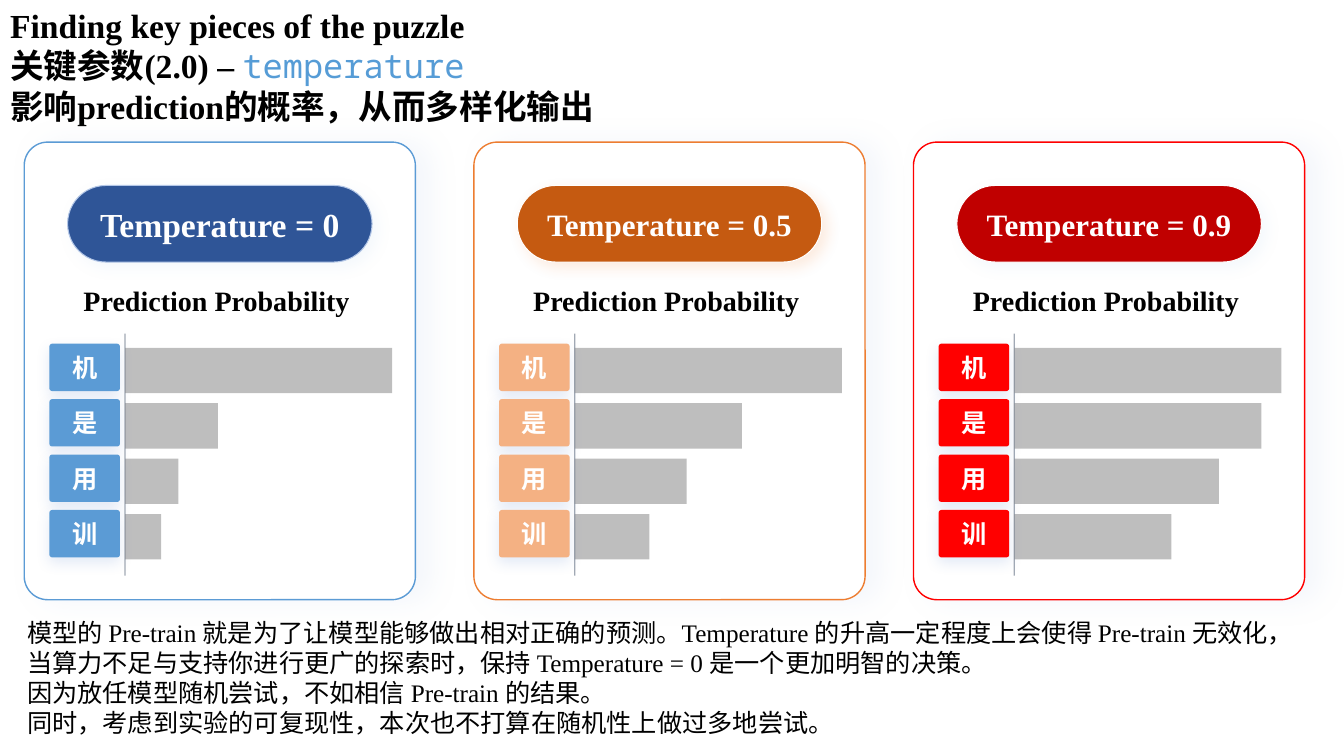
from dataclasses import dataclass

import pptx
import pptx.dml.color
import pptx.enum.shapes
import pptx.enum.text
import pptx.oxml
import pptx.oxml.ns
import pptx.util
from pptx.util import Inches

SHAPE = pptx.enum.shapes.MSO_SHAPE
ALIGN = pptx.enum.text.PP_ALIGN
ANCHOR = pptx.enum.text.MSO_ANCHOR
AUTO_SIZE = pptx.enum.text.MSO_AUTO_SIZE


@dataclass(frozen=True)
class Theme:
    font: str = "Times New Roman"
    code_font: str = "Noto Sans Mono"
    text: str = "000000"
    inverse: str = "FFFFFF"
    code: str = "569CD6"
    bar: str = "808080"
    axis: str = "44546A"
    title_size: float = 24
    heading_size: float = 20
    body_size: float = 18
    # Shadows: colour, opacity %, blur pt, distance pt, direction in degrees
    card_shadow: tuple = ("B4C7E7", 15, 20, 10, 0)
    label_shadow: tuple = ("4472C4", 15, 10, 4, 90)


@dataclass(frozen=True)
class Panel:
    left: float
    heading: str
    heading_size: float
    outline: str
    pill: str
    pill_outline: str
    pill_shadow: str
    label: str
    bars: tuple


THEME = Theme()
TOKENS = ("机", "是", "用", "训")
PANELS = (
    Panel(0.24, "Temperature = 0", 24, "5B9BD5", "2F5597", "B4C7E7", "BDD7EE",
          "5B9BD5", (2.65, 0.92, 0.53, 0.36)),
    Panel(4.7, "Temperature = 0.5", 22.2, "ED7D31", "C55A11", "FFFFFF", "ED7D31",
          "F4B183", (2.65, 1.66, 1.11, 0.74)),
    Panel(9.06, "Temperature = 0.9", 22.2, "FF0000", "C00000", "FFFFFF", "BDD7EE",
          "FF0000", (2.65, 2.45, 2.03, 1.56)),
)
NOTES = (
    "模型的 Pre-train 就是为了让模型能够做出相对正确的预测。Temperature 的升高一定程度上会使得 Pre-train 无效化，",
    "当算力不足与支持你进行更广的探索时，保持 Temperature = 0 是一个更加明智的决策。",
    "因为放任模型随机尝试，不如相信 Pre-train 的结果。",
    "同时，考虑到实验的可复现性，本次也不打算在随机性上做过多地尝试。",
)


def rgb(color):
    return pptx.dml.color.RGBColor.from_string(color)


def place(left, top, width, height):
    return [Inches(value) for value in (left, top, width, height)]


def style(paragraph, size, color=THEME.text, bold=True, align=ALIGN.LEFT):
    paragraph.alignment = align
    font = paragraph.font
    font.name, font.size, font.bold = THEME.font, pptx.util.Pt(size), bold
    font.color.rgb = rgb(color)


def set_opacity(parent, percent):
    """Make every solid colour below the XML element translucent."""
    for color in parent.iter(pptx.oxml.ns.qn("a:srgbClr")):
        alpha = pptx.oxml.parse_xml(
            f'<a:alpha {pptx.oxml.ns.nsdecls("a")} val="{percent * 1000}"/>')
        color.append(alpha)


def set_shadow(shape, color, opacity, blur, distance, direction):
    effects = shape.element.spPr.find(pptx.oxml.ns.qn("a:effectLst"))
    shadow = pptx.oxml.parse_xml(
        f'<a:outerShdw {pptx.oxml.ns.nsdecls("a")} blurRad="{pptx.util.Pt(blur)}" '
        f'dist="{pptx.util.Pt(distance)}" dir="{direction * 60000}" algn="ctr" '
        f'rotWithShape="0"><a:srgbClr val="{color}"/></a:outerShdw>')
    set_opacity(shadow, opacity)
    effects.append(shadow)


def add_block(shapes, kind, box, fill, outline=None, line_width=1, corner=None, shadow=None):
    """Add a filled shape, without an outline unless a colour is given."""
    shape = shapes.add_shape(kind, *place(*box))
    shape.shadow.inherit = False
    shape.fill.solid()
    shape.fill.fore_color.rgb = rgb(fill)
    if outline:
        shape.line.color.rgb = rgb(outline)
        shape.line.width = pptx.util.Pt(line_width)
    else:
        shape.line.fill.background()
    if corner is not None:
        shape.adjustments[0] = corner
    if shadow:
        set_shadow(shape, *shadow)
    return shape


def write_centred(shape, text, size):
    frame = shape.text_frame
    frame.vertical_anchor = ANCHOR.MIDDLE
    frame.text = text
    style(frame.paragraphs[0], size, THEME.inverse, align=ALIGN.CENTER)


def add_text(slide, box, lines, size, bold):
    frame = slide.shapes.add_textbox(*place(*box)).text_frame
    frame.word_wrap = False
    frame.auto_size = AUTO_SIZE.SHAPE_TO_FIT_TEXT
    frame.text = "\n".join(lines)
    for paragraph in frame.paragraphs:
        style(paragraph, size, bold=bold)


def add_title(slide, box):
    title = slide.shapes.title
    title.left, title.top, title.width, title.height = place(*box)
    frame = title.text_frame
    frame.word_wrap = True
    frame.auto_size = AUTO_SIZE.SHAPE_TO_FIT_TEXT
    frame.vertical_anchor = ANCHOR.TOP
    frame.text = "\n".join((
        "Finding key pieces of the puzzle",
        "关键参数(2.0) – ",
        "影响prediction的概率，从而多样化输出",
    ))
    for paragraph in frame.paragraphs:
        style(paragraph, THEME.title_size)
    parameter = frame.paragraphs[1].add_run()
    parameter.text = "temperature"
    parameter.font.name = THEME.code_font
    parameter.font.bold = False
    parameter.font.color.rgb = rgb(THEME.code)


def add_bars(slide, left, top, panel):
    """Draw the axis, bars and token labels; left is the axis position."""
    row_pitch = 0.55
    group = slide.shapes.add_group_shape()
    axis = group.shapes.add_connector(
        pptx.enum.shapes.MSO_CONNECTOR.STRAIGHT,
        Inches(left), Inches(top), Inches(left), Inches(top + 2.4))
    axis.line.color.rgb = rgb(THEME.axis)
    axis.line.width = pptx.util.Pt(1)
    properties = axis.element.spPr
    set_opacity(properties, 50)
    properties.append(pptx.oxml.parse_xml(
        f'<a:effectLst {pptx.oxml.ns.nsdecls("a")}/>'))

    for row, (token, width) in enumerate(zip(TOKENS, panel.bars)):
        row_top = top + row * row_pitch
        bar = add_block(group.shapes, SHAPE.RECTANGLE,
                        (left, row_top + 0.14, width, 0.45), THEME.bar)
        set_opacity(bar.element.spPr, 51)
        label = add_block(slide.shapes, SHAPE.ROUNDED_RECTANGLE,
                          (left - 0.75, row_top + 0.1, 0.7, 0.47), panel.label,
                          corner=0.06, shadow=THEME.label_shadow)
        write_centred(label, token, THEME.body_size)


def add_panel(slide, box, panel):
    left, top, _, _ = box
    add_block(slide.shapes, SHAPE.ROUNDED_RECTANGLE, box, THEME.inverse,
              panel.outline, corner=0.06, shadow=THEME.card_shadow)
    pill = add_block(slide.shapes, SHAPE.ROUNDED_RECTANGLE,
                     (left + 0.43, top + 0.43, 3.02, 0.76), panel.pill,
                     panel.pill_outline, 0.75, 0.5, (panel.pill_shadow, 15, 10, 5, 45))
    write_centred(pill, panel.heading, panel.heading_size)
    add_text(slide, (left + 0.49, top + 1.35, 2.86, 0.44),
             ["Prediction Probability"], THEME.heading_size, True)
    add_bars(slide, left + 1, top + 1.9, panel)


def main():
    presentation = pptx.Presentation()
    presentation.slide_width = Inches(13.33)
    presentation.slide_height = Inches(7.5)
    slide = presentation.slides.add_slide(
        presentation.slide_layouts.get_by_name("Title Only"))
    add_title(slide, (0, 0, 8, 1.31))
    for panel in PANELS:
        add_panel(slide, (panel.left, 1.41, 3.88, 4.54), panel)
    add_text(slide, (0.17, 6.07, 12.9, 1.31), NOTES, THEME.body_size, False)
    presentation.save("out.pptx")


if __name__ == "__main__":
    main()
